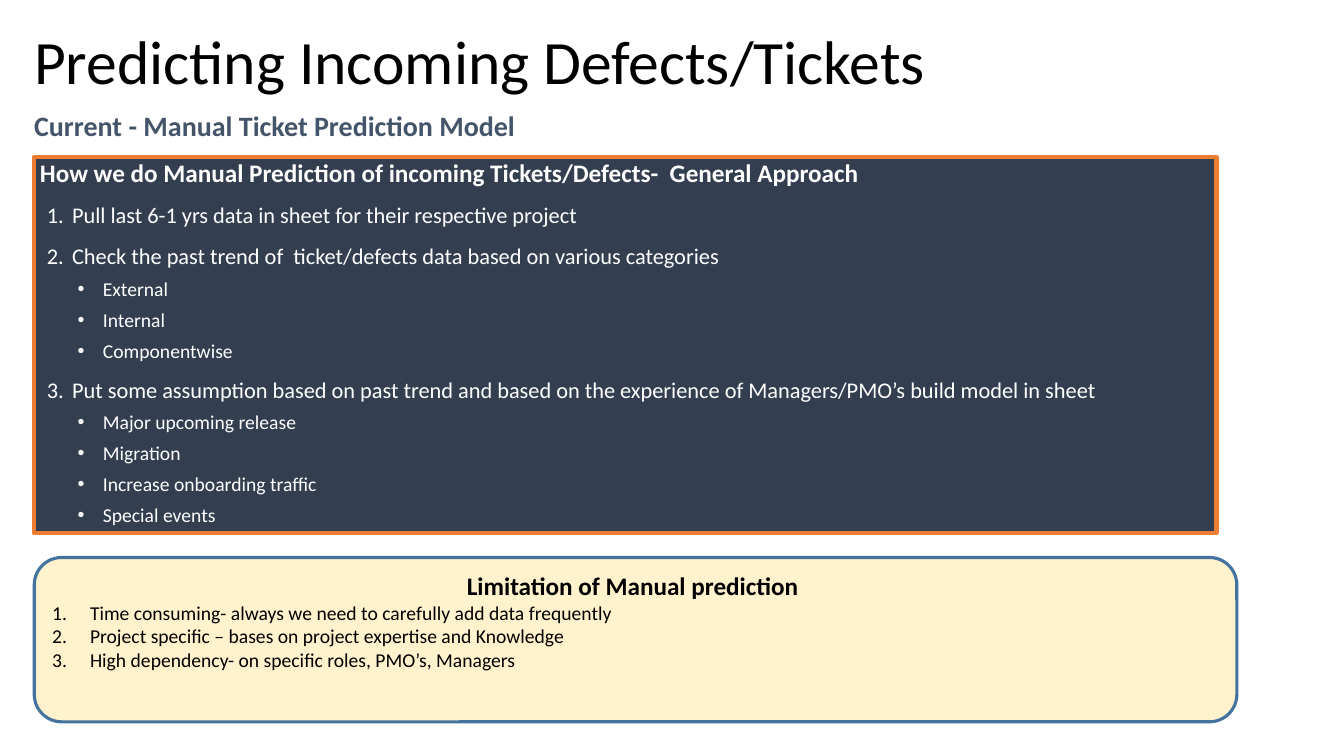
import pptx
import pptx.util
import pptx.dml.color
import pptx.enum.shapes
import pptx.enum.text
import pptx.oxml

Pt = pptx.util.Pt
Shape = pptx.enum.shapes.MSO_SHAPE
Anchor = pptx.enum.text.MSO_ANCHOR
Align = pptx.enum.text.PP_ALIGN

HUES = {
    "black": "000000",
    "white": "FFFFFF",
    "slate": "44546A",
    "navy": "333F50",
    "orange": "ED7D31",
    "cream": "FFF2CC",
    "blue": "43739E",
}

STEPS = [
    ("Pull last 6-1 yrs data in sheet for their respective project", []),
    ("Check the past trend of  ticket/defects data based on various categories",
     ["External", "Internal", "Componentwise"]),
    ("Put some assumption based on past trend and based on the experience of "
     "Managers/PMO’s build model in sheet",
     ["Major upcoming release", "Migration", "Increase onboarding traffic",
      "Special events"]),
]

LIMITS = [
    "Time consuming- always we need to carefully add data frequently",
    "Project specific – bases on project expertise and Knowledge",
    "High dependency- on specific roles, PMO’s, Managers",
]


def color(name):
    return pptx.dml.color.RGBColor.from_string(HUES[name])


def add_para(frame, text, size, hue, bold=False, before=0, level=0):
    para = frame.paragraphs[0]
    if para.runs:
        para = frame.add_paragraph()
    para.alignment = Align.LEFT
    para.space_before = Pt(before)
    para.level = level
    run = para.add_run()
    run.text = text
    run.font.name = "Calibri"
    run.font.size = Pt(size)
    run.font.bold = bold
    run.font.color.rgb = color(hue)
    return para


def add_prop(para, tag, **attrs):
    prop = pptx.oxml.parse_xml(
        '<a:%s xmlns:a="http://schemas.openxmlformats.org/drawingml/2006/main"/>' % tag)
    for key, value in attrs.items():
        prop.set(key, value)
    para._p.get_or_add_pPr().append(prop)


def indent(para, left, hang):
    props = para._p.get_or_add_pPr()
    props.set("marL", str(Pt(left)))
    props.set("indent", str(-Pt(hang)))


def add_number(para, left, hang):
    indent(para, left, hang)
    add_prop(para, "buAutoNum", type="arabicPeriod")


def add_bullet(para, left, hang):
    indent(para, left, hang)
    add_prop(para, "buFont", typeface="Arial")
    add_prop(para, "buChar", char="•")


def add_text(slide, box, text, size, hue, bold=False, anchor=Anchor.TOP):
    frame = slide.shapes.add_textbox(*map(Pt, box)).text_frame
    frame.word_wrap = True
    frame.vertical_anchor = anchor
    return add_para(frame, text, size, hue, bold)


def add_panel(slide, kind, box, fill, line, width):
    panel = slide.shapes.add_shape(kind, *map(Pt, box))
    panel.shadow.inherit = False
    panel.fill.solid()
    panel.fill.fore_color.rgb = color(fill)
    panel.line.color.rgb = color(line)
    panel.line.width = Pt(width)
    frame = panel.text_frame
    frame.word_wrap = True
    frame.vertical_anchor = Anchor.TOP
    return frame


def add_steps(slide):
    frame = add_panel(slide, Shape.RECTANGLE, (24.5, 112.3, 844.5, 268.5),
                      "navy", "orange", 3)
    frame.margin_left = frame.margin_right = 0
    frame.margin_top = frame.margin_bottom = 0
    add_para(frame, " How we do Manual Prediction of incoming Tickets/Defects-"
             "  General Approach", 18, "white", True, 10)
    for step, points in STEPS:
        add_number(add_para(frame, step, 16, "white", before=10), 27, 18)
        for point in points:
            para = add_para(frame, point, 14, "white", before=5, level=1)
            para.line_spacing = 1.02
            add_bullet(para, 49, 18)


def add_limits(slide):
    frame = add_panel(slide, Shape.ROUNDED_RECTANGLE, (24.5, 398.2, 859, 117.4),
                      "cream", "blue", 2.25)
    head = add_para(frame, "Limitation of Manual prediction ", 18, "black", True)
    head.alignment = Align.CENTER
    for limit in LIMITS:
        add_number(add_para(frame, limit, 14, "black"), 27, 27)


def main():
    deck = pptx.Presentation()
    deck.slide_width, deck.slide_height = Pt(960), Pt(540)
    slide = deck.slides.add_slide(deck.slide_layouts[6])
    add_text(slide, (17.3, 74.2, 764, 27.4),
             "Current - Manual Ticket Prediction Model", 20, "slate", True)
    title = add_text(slide, (17.3, 18.7, 828, 55.4),
                     "Predicting Incoming Defects/Tickets", 44, "black",
                     anchor=Anchor.MIDDLE)
    title.line_spacing = 0.9
    add_steps(slide)
    add_limits(slide)
    deck.save("out.pptx")


if __name__ == "__main__":
    main()
